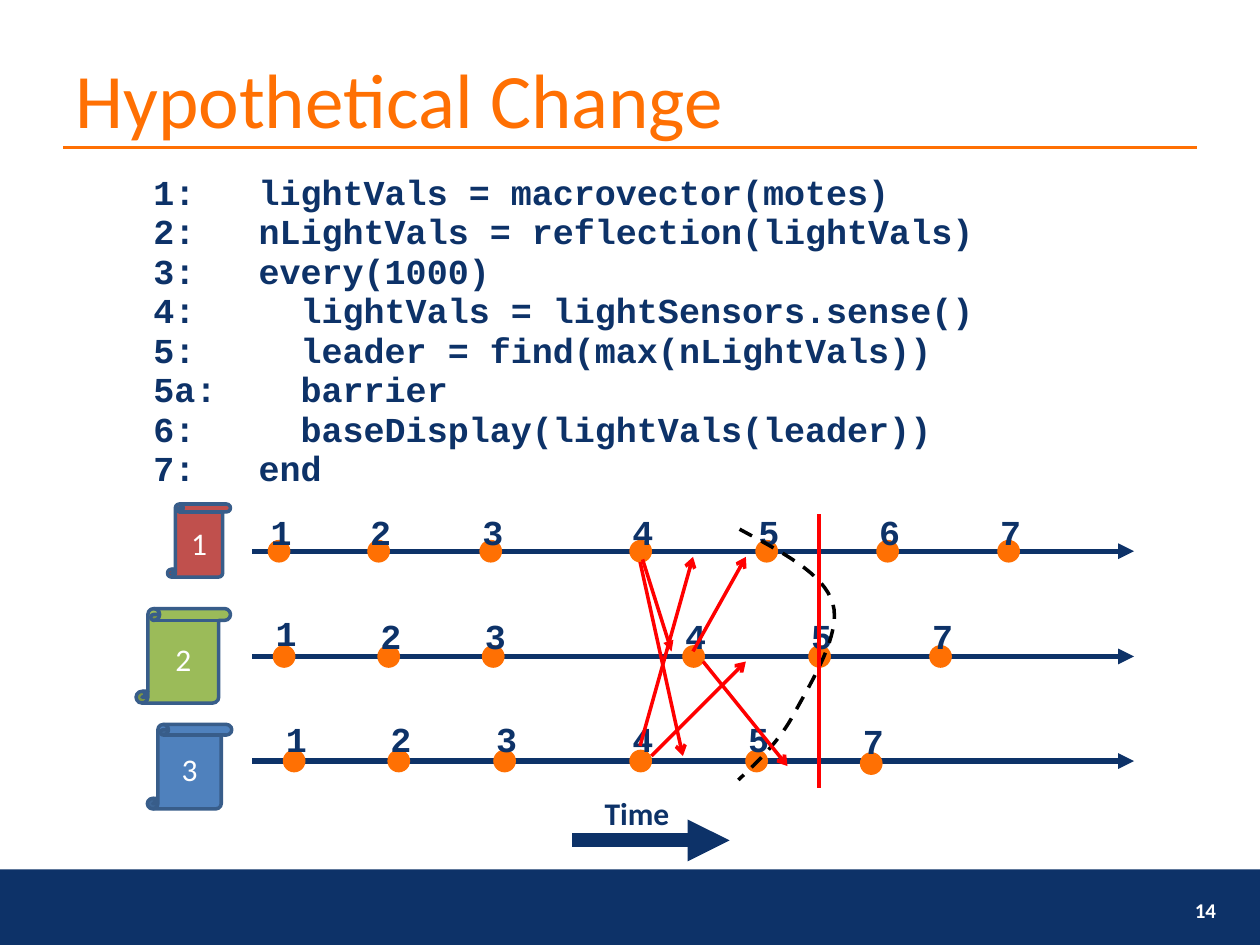
from dataclasses import dataclass

from lxml.etree import SubElement
from pptx import Presentation
from pptx.dml.color import RGBColor
from pptx.enum.dml import MSO_LINE
from pptx.enum.shapes import MSO_CONNECTOR, MSO_SHAPE
from pptx.enum.text import MSO_ANCHOR, MSO_AUTO_SIZE, PP_ALIGN
from pptx.oxml.ns import qn
from pptx.util import Inches, Pt

NAVY, ORANGE, RED, WHITE = "0D3268", "FF7003", "FF0000", "FFFFFF"
SANS, MONO = "Calibri", "Courier New"
DOT = 0.17

CODE = """1:   lightVals = macrovector(motes)
2:   nLightVals = reflection(lightVals)
3:   every(1000)
4:     lightVals = lightSensors.sense()
5:     leader = find(max(nLightVals))
5a:    barrier
6:     baseDisplay(lightVals(leader))
7:   end"""


@dataclass
class Step:
    label: str
    x: float
    dot_drop: float = 0
    label_lift: float = 0


@dataclass
class Timeline:
    name: str
    color: str
    scroll: tuple[float, float, float, float]
    y: float
    label_rise: float
    steps: list[Step]


TIMELINES = [
    Timeline("3", "4F81BD", (1.17, 5.75, 0.67, 0.67), 6.04, 0.31, [
        Step("1", 2.25), Step("2", 3.08), Step("3", 3.92), Step("4", 5),
        Step("5", 5.92), Step("7", 6.83, dot_drop=0.02)]),
    Timeline("2", "9BBB59", (1.08, 4.83, 0.75, 0.75), 5.21, 0.3, [
        Step("1", 2.17, label_lift=0.02), Step("2", 3), Step("3", 3.83),
        Step("4", 5.42), Step("5", 6.42), Step("7", 7.38)]),
    Timeline("1", "C0504D", (1.33, 4, 0.5, 0.58), 4.375, 0.29, [
        Step("1", 2.13), Step("2", 2.92), Step("3", 3.81), Step("4", 5),
        Step("5", 6), Step("6", 6.96), Step("7", 7.92)]),
]

MESSAGES = [
    ((5.1, 4.44), (5.33, 5.17), "triangle"),
    ((5.08, 4.46), (5.42, 6), "arrow"),
    ((5.5, 5.17), (5.92, 4.42), "arrow"),
    ((5.58, 5.25), (6.25, 6.08), "arrow"),
    ((5.08, 5.92), (5.5, 4.42), "arrow"),
    ((5.17, 6), (5.92, 5.25), "arrow"),
]

FRONTIER = [
    ((5.87, 4.2), (6.2, 4.38), (6.54, 4.55), (6.61, 4.79)),
    ((6.61, 4.79), (6.68, 5.03), (6.44, 5.41), (6.31, 5.65)),
    ((6.31, 5.65), (6.19, 5.88), (6.02, 6.04), (5.86, 6.19)),
]


def rgb(value: str) -> RGBColor:
    return RGBColor.from_string(value)


def write(shape, text: str, *, size=20, font=SANS, color=NAVY, bold=False,
          align=PP_ALIGN.LEFT, anchor=MSO_ANCHOR.TOP, wrap=True, spacing=None):
    tf = shape.text_frame
    tf.word_wrap = wrap
    tf.auto_size = MSO_AUTO_SIZE.NONE if wrap else MSO_AUTO_SIZE.SHAPE_TO_FIT_TEXT
    tf.vertical_anchor = anchor
    for i, line in enumerate(text.split("\n")):
        p = tf.add_paragraph() if i else tf.paragraphs[0]
        p.alignment = align
        p.line_spacing = spacing
        r = p.add_run()
        r.text = line
        r.font.size = Pt(size)
        r.font.name = font
        r.font.bold = bold
        r.font.color.rgb = rgb(color)


def add_text(s, box: tuple, text: str, **fmt):
    write(s.shapes.add_textbox(*map(Inches, box)), text, **fmt)


def add_box(s, kind, box: tuple, fill=None, line=None, width=2.0):
    sp = s.shapes.add_shape(kind, *map(Inches, box))
    sp.shadow.inherit = False
    if fill:
        sp.fill.solid()
        sp.fill.fore_color.rgb = rgb(fill)
    else:
        sp.fill.background()
    if line:
        sp.line.color.rgb = rgb(line)
        sp.line.width = Pt(width)
    else:
        sp.line.fill.background()
    return sp


def add_line(s, start: tuple, end: tuple, color: str, width: float, head=None):
    c = s.shapes.add_connector(MSO_CONNECTOR.STRAIGHT, *map(Inches, start + end))
    c.line.color.rgb = rgb(color)
    c.line.width = Pt(width)
    if head:
        SubElement(c.line._get_or_add_ln(), qn("a:tailEnd"), type=head)
    SubElement(c._element.spPr, qn("a:effectLst"))


def bezier(curve: tuple, t: float) -> tuple[int, int]:
    weights = ((1 - t) ** 3, 3 * t * (1 - t) ** 2, 3 * t * t * (1 - t), t ** 3)
    x, y = (sum(w * p[axis] for w, p in zip(weights, curve)) for axis in (0, 1))
    return Inches(x), Inches(y)


def add_frontier(s, curves: list, steps: int = 16):
    builder = s.shapes.build_freeform(*bezier(curves[0], 0))
    points = [bezier(c, i / steps) for c in curves for i in range(1, steps + 1)]
    builder.add_line_segments(points, close=False)
    sp = builder.convert_to_shape()
    sp.shadow.inherit = False
    sp.fill.background()
    sp.line.color.rgb = rgb("000000")
    sp.line.width = Pt(2)
    sp.line.dash_style = MSO_LINE.DASH


def add_timeline(s, row: Timeline):
    scroll = add_box(s, MSO_SHAPE.VERTICAL_SCROLL, row.scroll, row.color, "385D8A")
    write(scroll, row.name, size=18, color=WHITE, align=PP_ALIGN.CENTER,
          anchor=MSO_ANCHOR.MIDDLE)
    add_line(s, (2, row.y), (9, row.y), NAVY, 3, "triangle")
    for step in row.steps:
        top = row.y - DOT / 2 + step.dot_drop
        add_box(s, MSO_SHAPE.OVAL, (step.x, top, DOT, DOT), ORANGE, ORANGE, 0.75)
        label_top = top - row.label_rise - step.label_lift
        add_text(s, (step.x - 0.08, label_top, 0.36, 0.44), step.label,
                 font=MONO, bold=True, wrap=False)


def main():
    prs = Presentation()
    prs.slide_width, prs.slide_height = Inches(10), Inches(7.5)
    s = prs.slides.add_slide(prs.slide_layouts[6])

    add_box(s, MSO_SHAPE.RECTANGLE, (0, 6.9, 10, 0.6), NAVY)
    add_line(s, (0.5, 1.17), (9.5, 1.17), ORANGE, 2)
    add_text(s, (0.5, 0.3, 9, 0.95), "Hypothetical Change", size=44, color=ORANGE,
             anchor=MSO_ANCHOR.MIDDLE)
    add_text(s, (7.42, 7.02, 2.33, 0.4), "14", size=12, color=WHITE, bold=True,
             align=PP_ALIGN.RIGHT, anchor=MSO_ANCHOR.MIDDLE)

    for row in TIMELINES:
        add_timeline(s, row)

    add_line(s, (4.54, 6.67), (5.79, 6.67), NAVY, 8, "triangle")
    add_text(s, (4.7, 6.25, 0.75, 0.4), "Time", size=18, bold=True, wrap=False)

    add_frontier(s, FRONTIER)
    for start, end, head in MESSAGES:
        add_line(s, start, end, RED, 2, head)
    add_line(s, (6.5, 4.08), (6.5, 6.25), RED, 2)

    code = add_box(s, MSO_SHAPE.RECTANGLE, (1.12, 1.33, 8.2, 2.61), line=WHITE)
    write(code, CODE, font=MONO, bold=True, spacing=0.94)

    prs.save("out.pptx")


if __name__ == "__main__":
    main()
